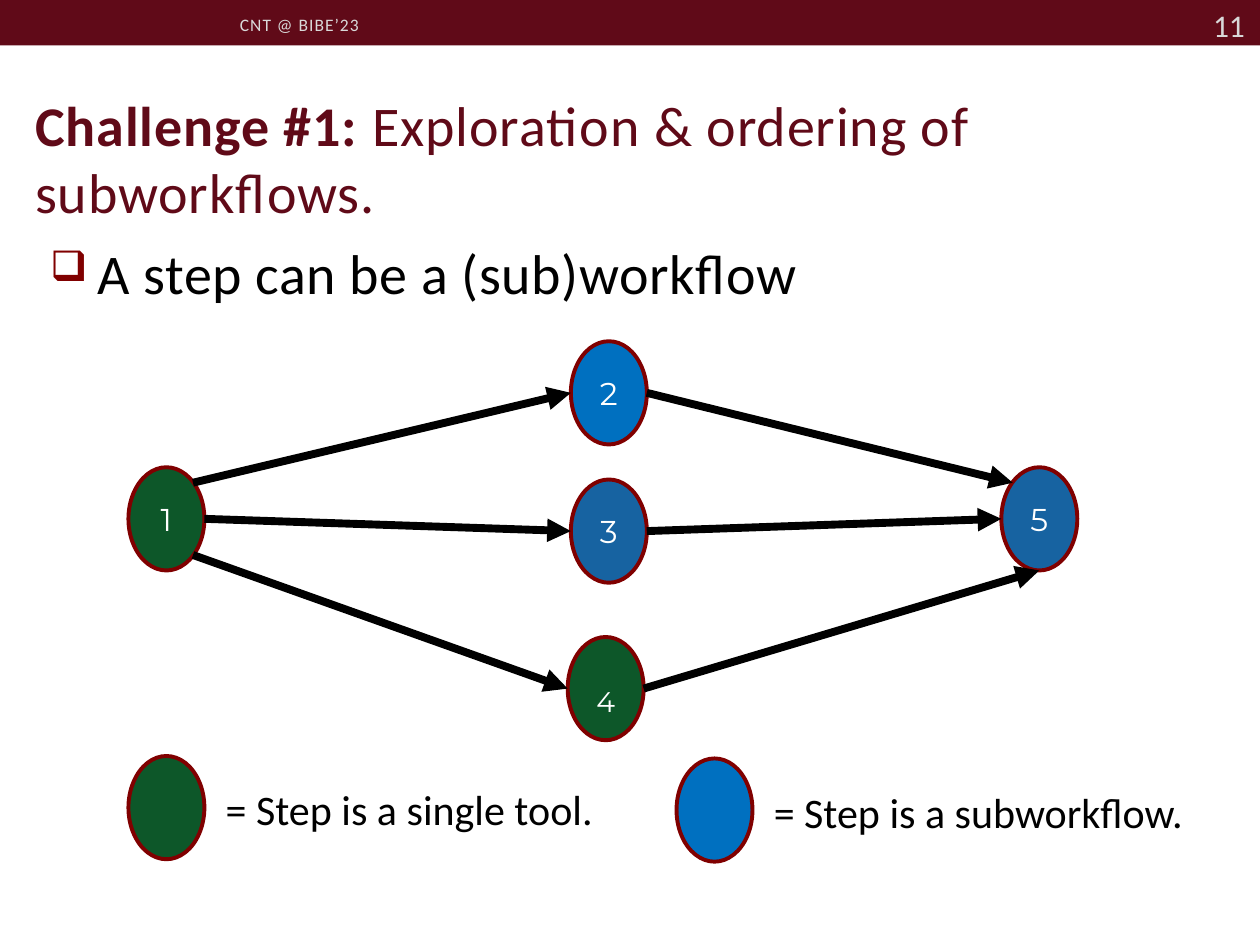
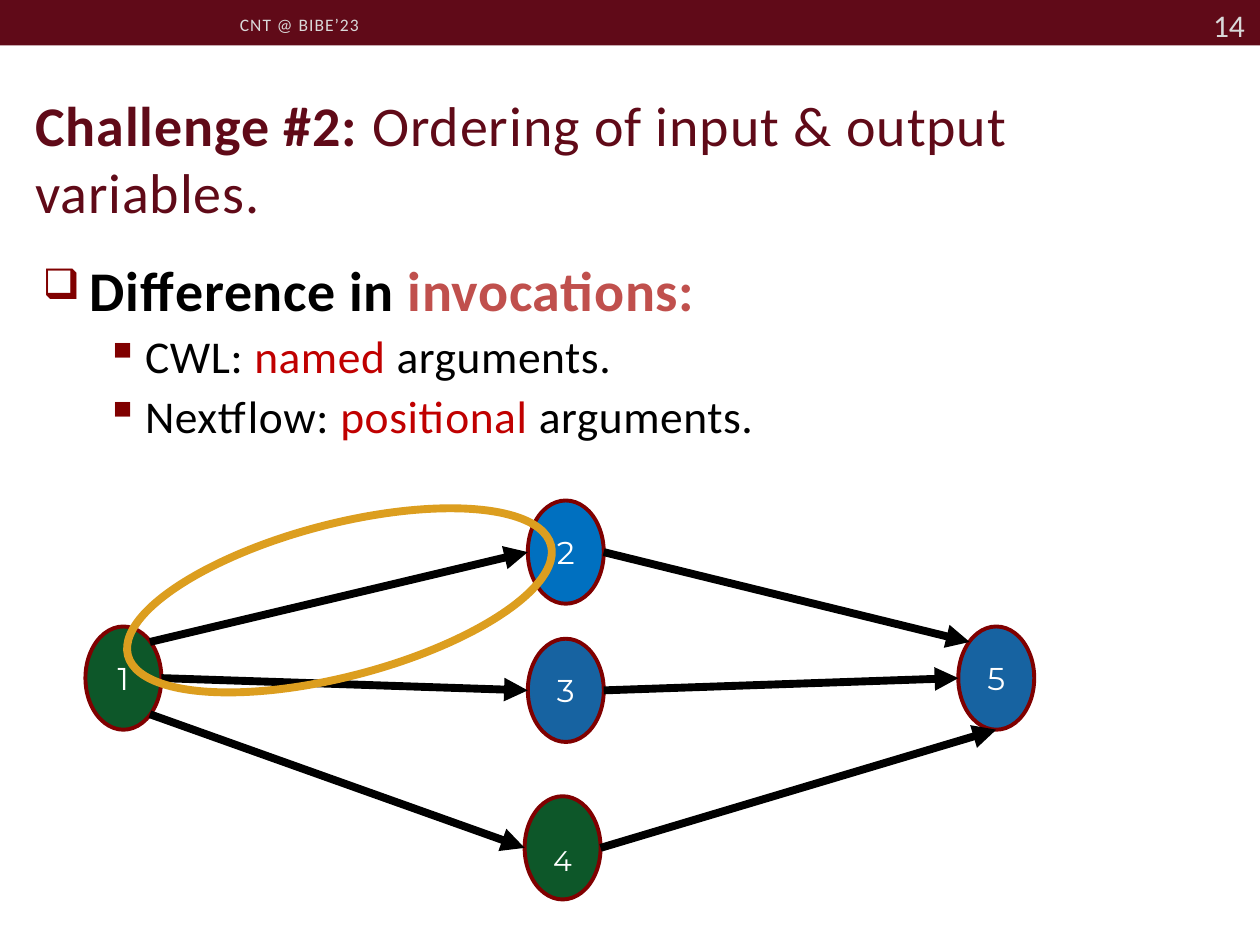
from dataclasses import dataclass
from lxml.etree import SubElement
from pptx import Presentation
from pptx.dml.color import RGBColor
from pptx.enum.shapes import MSO_CONNECTOR, MSO_SHAPE
from pptx.enum.text import MSO_ANCHOR, PP_ALIGN
from pptx.oxml.ns import qn
from pptx.util import Pt


@dataclass(frozen=True)
class Theme:
    maroon: str = "600A18"
    band_text: str = "D9D9D9"
    black: str = "000000"
    white: str = "FFFFFF"
    border: str = "800000"
    green: str = "0D5729"
    blue: str = "0070C0"
    dark_blue: str = "1763A1"
    coral: str = "C0504D"
    red: str = "C00000"
    gold: str = "DC9E1F"
    text_font: str = "Calibri"
    node_font: str = "Montserrat"
    heading_size: float = 32
    detail_size: float = 26
    legend_size: float = 24
    number_size: float = 18
    lowered_size: float = 28
    footer_size: float = 10
    arrow_width: float = 4.5
    border_width: float = 2.25


THEME = Theme()
SLIDE_WIDTH, SLIDE_HEIGHT = 720, 540
BAND_HEIGHT = 26
NODE_WIDTH, NODE_HEIGHT = 43.4, 59
FOOTER = "CNT @ BIBE’23"

NODES = {
    "1": (0, 0, THEME.green),
    "2": (252.8, -72, THEME.blue),
    "3": (252.8, 7, THEME.dark_blue),
    "4": (251, 97, THEME.green),
    "5": (498.8, 0, THEME.dark_blue),
}
LOWERED_NUMBERS = {"4"}
ARROWS = [
    ("1", "top right", "2", "left"),
    ("1", "right", "3", "left"),
    ("1", "bottom right", "4", "left"),
    ("2", "right", "5", "top left"),
    ("3", "right", "5", "left"),
    ("4", "right", "5", "bottom"),
]
ANCHORS = {
    "left": (0, 0.5), "right": (1, 0.5), "bottom": (0.5, 1),
    "top left": (0.15, 0.15), "top right": (0.85, 0.15), "bottom right": (0.85, 0.85),
}
LEGEND = [
    (73.4, 432, THEME.green, "= Step is a single tool."),
    (386.6, 433.4, THEME.blue, "= Step is a subworkflow."),
]
BULLETS = [
    dict(character="❑", left=27, hanging=27, scale=75, before=15, size=THEME.heading_size),
    dict(character="▪", left=58.5, hanging=22.5, scale=100, before=3, size=THEME.detail_size),
]
SLIDES = [
    dict(
        number="11",
        title=("Challenge #1: ", "Exploration & ordering of subworkflows."),
        body_box=(21.6, 132.5, 679, 56),
        body=[(0, [("A step can be a (sub)workflow", THEME.black, False)])],
        graph=(73.4, 267),
        legend=LEGEND,
        highlight=None,
    ),
    dict(
        number="14",
        title=("Challenge #2: ", "Ordering of input & output variables."),
        body_box=(17.3, 142.5, 638, 194),
        body=[
            (0, [("Difference in ", THEME.black, True), ("invocations:", THEME.coral, True)]),
            (1, [("CWL: ", THEME.black, False), ("named", THEME.red, False),
                 (" arguments.", THEME.black, False)]),
            (1, [("Nextflow: ", THEME.black, False), ("positional ", THEME.red, False),
                 ("arguments.", THEME.black, False)]),
        ],
        graph=(48.8, 358),
        legend=[],
        highlight=(69.1, 299.5, 249.8, 87.1, 345.4),
    ),
]


def color(value):
    return RGBColor.from_string(value)


def add_run(paragraph, text, size, fill, bold=False, font=THEME.text_font, spacing=0):
    run = paragraph.add_run()
    run.text = text
    run.font.name = font
    run.font.size = Pt(size)
    run.font.bold = bold
    run.font.color.rgb = color(fill)
    properties = run.font._element
    if spacing:
        properties.set("spc", str(round(spacing * 100)))
    return properties


def add_text_frame(slide, box, anchor=MSO_ANCHOR.TOP, wrap=True):
    text_frame = slide.shapes.add_textbox(*map(Pt, box)).text_frame
    text_frame.word_wrap = wrap
    text_frame.vertical_anchor = anchor
    return text_frame


def add_outline_shape(slide, kind, box, fill=None, line=None, width=0):
    shape = slide.shapes.add_shape(kind, *map(Pt, box))
    shape.shadow.inherit = False
    if fill:
        shape.fill.solid()
        shape.fill.fore_color.rgb = color(fill)
    else:
        shape.fill.background()
    if line:
        shape.line.color.rgb = color(line)
        shape.line.width = Pt(width)
    else:
        shape.line.fill.background()
    return shape


def add_frame(slide, number, title):
    add_outline_shape(slide, MSO_SHAPE.RECTANGLE, (0, 0, SLIDE_WIDTH, BAND_HEIGHT), THEME.maroon)
    number_frame = add_text_frame(slide, (655, -0.5, 63.5, 29), MSO_ANCHOR.MIDDLE)
    paragraph = number_frame.paragraphs[0]
    paragraph.alignment = PP_ALIGN.RIGHT
    add_run(paragraph, number, THEME.number_size, THEME.band_text)
    footer_frame = add_text_frame(slide, (130, 3.6, 256, 21), MSO_ANCHOR.MIDDLE)
    add_run(footer_frame.paragraphs[0], FOOTER, THEME.footer_size, THEME.band_text, spacing=0.6)
    title_frame = add_text_frame(slide, (13, 41.8, 692.5, 90), MSO_ANCHOR.BOTTOM)
    for text, bold in zip(title, (True, False)):
        add_run(title_frame.paragraphs[0], text, THEME.heading_size, THEME.maroon, bold, spacing=0.5)


def set_bullet(paragraph, bullet):
    properties = paragraph._p.get_or_add_pPr()
    properties.set("marL", str(Pt(bullet["left"])))
    properties.set("indent", str(-Pt(bullet["hanging"])))
    bullet_color = SubElement(properties, qn("a:buClr"))
    SubElement(bullet_color, qn("a:srgbClr"), val=THEME.border)
    SubElement(properties, qn("a:buSzPct"), val=str(bullet["scale"] * 1000))
    SubElement(properties, qn("a:buChar"), char=bullet["character"])


def add_body(slide, box, lines):
    text_frame = add_text_frame(slide, box)
    for index, (level, runs) in enumerate(lines):
        paragraph = text_frame.add_paragraph() if index else text_frame.paragraphs[0]
        bullet = BULLETS[level]
        paragraph.level = level
        set_bullet(paragraph, bullet)
        if index:
            paragraph.space_before = Pt(bullet["before"])
        for text, fill, bold in runs:
            add_run(paragraph, text, bullet["size"], fill, bold, spacing=0.3)


def add_node(slide, left, top, fill, label=""):
    shape = add_outline_shape(slide, MSO_SHAPE.OVAL, (left, top, NODE_WIDTH, NODE_HEIGHT),
                              fill, THEME.border, THEME.border_width)
    if not label:
        return
    lowered = label in LOWERED_NUMBERS
    text_frame = shape.text_frame
    text_frame.word_wrap = False
    text_frame.vertical_anchor = MSO_ANCHOR.MIDDLE
    text_frame.margin_left = text_frame.margin_right = text_frame.margin_top = Pt(0)
    text_frame.margin_bottom = Pt(5 if lowered else 0)
    paragraph = text_frame.paragraphs[0]
    paragraph.alignment = PP_ALIGN.CENTER
    size = THEME.lowered_size if lowered else THEME.number_size
    properties = add_run(paragraph, label, size, THEME.white, font=THEME.node_font)
    if lowered:
        properties.set("baseline", "-25000")


def add_arrow(slide, start, end):
    connector = slide.shapes.add_connector(MSO_CONNECTOR.STRAIGHT, *map(Pt, start + end))
    connector.line.color.rgb = color(THEME.black)
    connector.line.width = Pt(THEME.arrow_width)
    SubElement(connector.line._get_or_add_ln(), qn("a:tailEnd"), type="triangle")
    SubElement(connector._element.spPr, qn("a:effectLst"))


def add_graph(slide, origin_left, origin_top):
    def anchor_point(node, side):
        left, top, _ = NODES[node]
        across, down = ANCHORS[side]
        return (origin_left + left + across * NODE_WIDTH, origin_top + top + down * NODE_HEIGHT)

    for label, (left, top, fill) in NODES.items():
        add_node(slide, origin_left + left, origin_top + top, fill, label)
    for source, source_side, target, target_side in ARROWS:
        add_arrow(slide, anchor_point(source, source_side), anchor_point(target, target_side))


def add_legend(slide, entries):
    for left, top, fill, text in entries:
        add_node(slide, left, top, fill)
        text_frame = add_text_frame(slide, (left + 48.5, top + 12.4, 250, 36), wrap=False)
        add_run(text_frame.paragraphs[0], text, THEME.legend_size, THEME.black)


def add_highlight(slide, left, top, width, height, rotation):
    shape = add_outline_shape(slide, MSO_SHAPE.OVAL, (left, top, width, height),
                              line=THEME.gold, width=THEME.arrow_width)
    shape.rotation = rotation


def main():
    presentation = Presentation()
    presentation.slide_width = Pt(SLIDE_WIDTH)
    presentation.slide_height = Pt(SLIDE_HEIGHT)
    for content in SLIDES:
        slide = presentation.slides.add_slide(presentation.slide_layouts[6])
        add_frame(slide, content["number"], content["title"])
        add_body(slide, content["body_box"], content["body"])
        add_graph(slide, *content["graph"])
        add_legend(slide, content["legend"])
        if content["highlight"]:
            add_highlight(slide, *content["highlight"])
    presentation.save("out.pptx")


if __name__ == "__main__":
    main()
